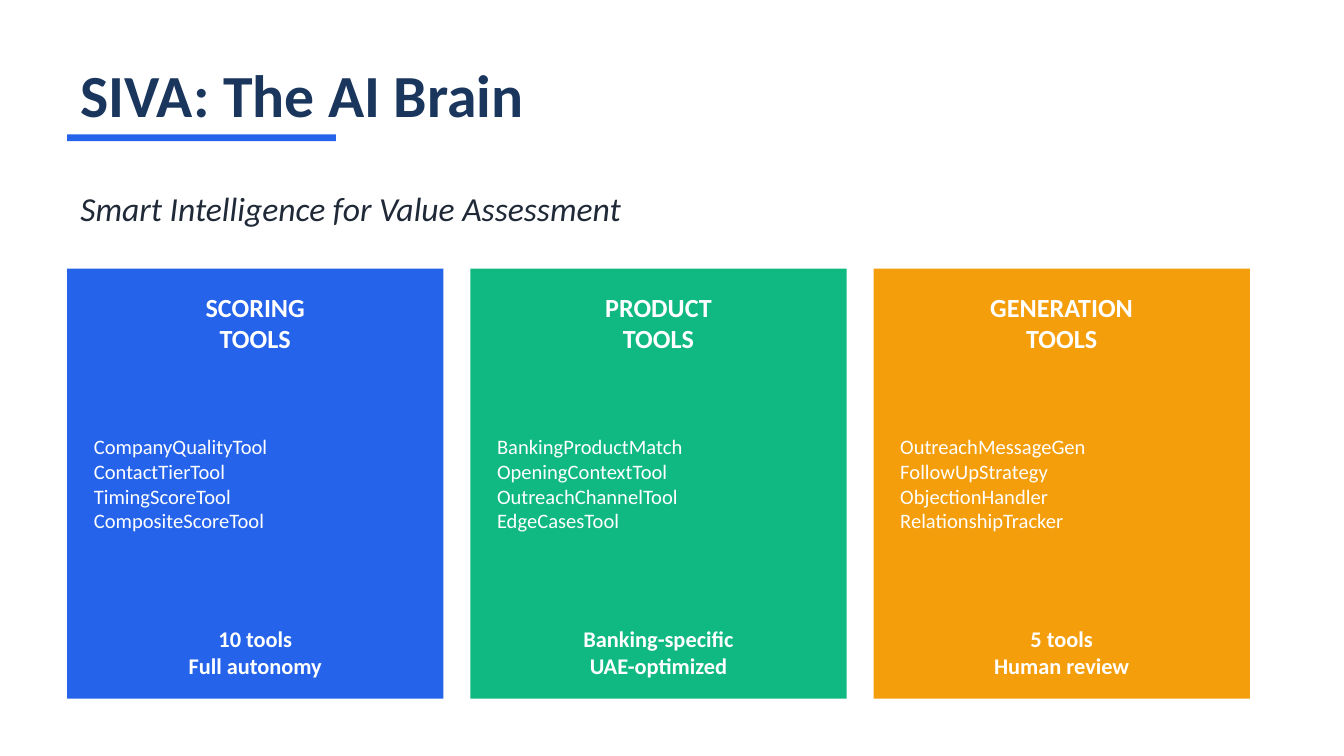
from pptx import Presentation
from pptx.dml.color import RGBColor
from pptx.enum.shapes import MSO_SHAPE
from pptx.enum.text import MSO_ANCHOR, MSO_AUTO_SIZE, PP_ALIGN
from pptx.util import Inches, Pt

NAVY = RGBColor(0x1A, 0x36, 0x5D)
INK = RGBColor(0x1F, 0x29, 0x37)
BLUE = RGBColor(0x25, 0x63, 0xEB)
GREEN = RGBColor(0x10, 0xB9, 0x81)
AMBER = RGBColor(0xF5, 0x9E, 0x0B)
WHITE = RGBColor(0xFF, 0xFF, 0xFF)
FONT = "Calibri"

# Content
TITLE = "SIVA: The AI Brain"
SUBTITLE = "Smart Intelligence for Value Assessment"
CARDS = [
    (BLUE, ["SCORING", "TOOLS"],
     ["CompanyQualityTool", "ContactTierTool", "TimingScoreTool", "CompositeScoreTool"],
     ["10 tools", "Full autonomy"]),
    (GREEN, ["PRODUCT", "TOOLS"],
     ["BankingProductMatch", "OpeningContextTool", "OutreachChannelTool", "EdgeCasesTool"],
     ["Banking-specific", "UAE-optimized"]),
    (AMBER, ["GENERATION", "TOOLS"],
     ["OutreachMessageGen", "FollowUpStrategy", "ObjectionHandler", "RelationshipTracker"],
     ["5 tools", "Human review"]),
]

# Layout in inches
LEFT, CARD_TOP, CARD_W, CARD_H, GAP = 0.5, 2, 2.8, 3.2, 0.2
INSET = 0.1


def add_text(s, lines, x, y, w, h, size, color=WHITE, bold=False, italic=False,
             align=PP_ALIGN.LEFT, box=None):
    """Write one paragraph per line in a new text box, or in the given box."""
    if box is None:
        box = s.shapes.add_textbox(0, 0, 0, 0)
    box.left, box.top, box.width, box.height = map(Inches, (x, y, w, h))
    tf = box.text_frame
    tf.word_wrap = True
    tf.auto_size = MSO_AUTO_SIZE.NONE
    tf.vertical_anchor = MSO_ANCHOR.MIDDLE
    for i, line in enumerate(lines):
        p = tf.paragraphs[0] if i == 0 else tf.add_paragraph()
        p.alignment = align
        r = p.add_run()
        r.text = line
        r.font.name, r.font.size = FONT, Pt(size)
        r.font.bold, r.font.italic = bold, italic
        r.font.color.rgb = color


def add_rect(s, x, y, w, h, color):
    sp = s.shapes.add_shape(MSO_SHAPE.RECTANGLE, *map(Inches, (x, y, w, h)))
    sp.shadow.inherit = False
    sp.fill.solid()
    sp.fill.fore_color.rgb = color
    sp.line.fill.background()


# Slide in 16:9
prs = Presentation()
prs.slide_width = Inches(10)
prs.slide_height = Inches(10 * 9 / 16)
s = prs.slides.add_slide(prs.slide_layouts[5])
s.background.fill.solid()
s.background.fill.fore_color.rgb = WHITE

# Heading
add_text(s, [TITLE], LEFT, 0.3, 9, 0.8, 32, color=NAVY, bold=True, box=s.shapes.title)
add_rect(s, LEFT, 1, 2, 0.05, BLUE)
add_text(s, [SUBTITLE], LEFT, 1.3, 9, 0.5, 18, color=INK, italic=True)

# Tool cards
for i, (color, heading, tools, note) in enumerate(CARDS):
    x = LEFT + i * (CARD_W + GAP)
    add_rect(s, x, CARD_TOP, CARD_W, CARD_H, color)
    add_text(s, heading, x, CARD_TOP + 0.1, CARD_W, 0.6, 14, bold=True, align=PP_ALIGN.CENTER)
    add_text(s, tools, x + INSET, CARD_TOP + 0.7, CARD_W - 2 * INSET, 1.8, 11)
    add_text(s, note, x, CARD_TOP + 2.6, CARD_W, 0.5, 12, bold=True, align=PP_ALIGN.CENTER)

prs.save("out.pptx")
